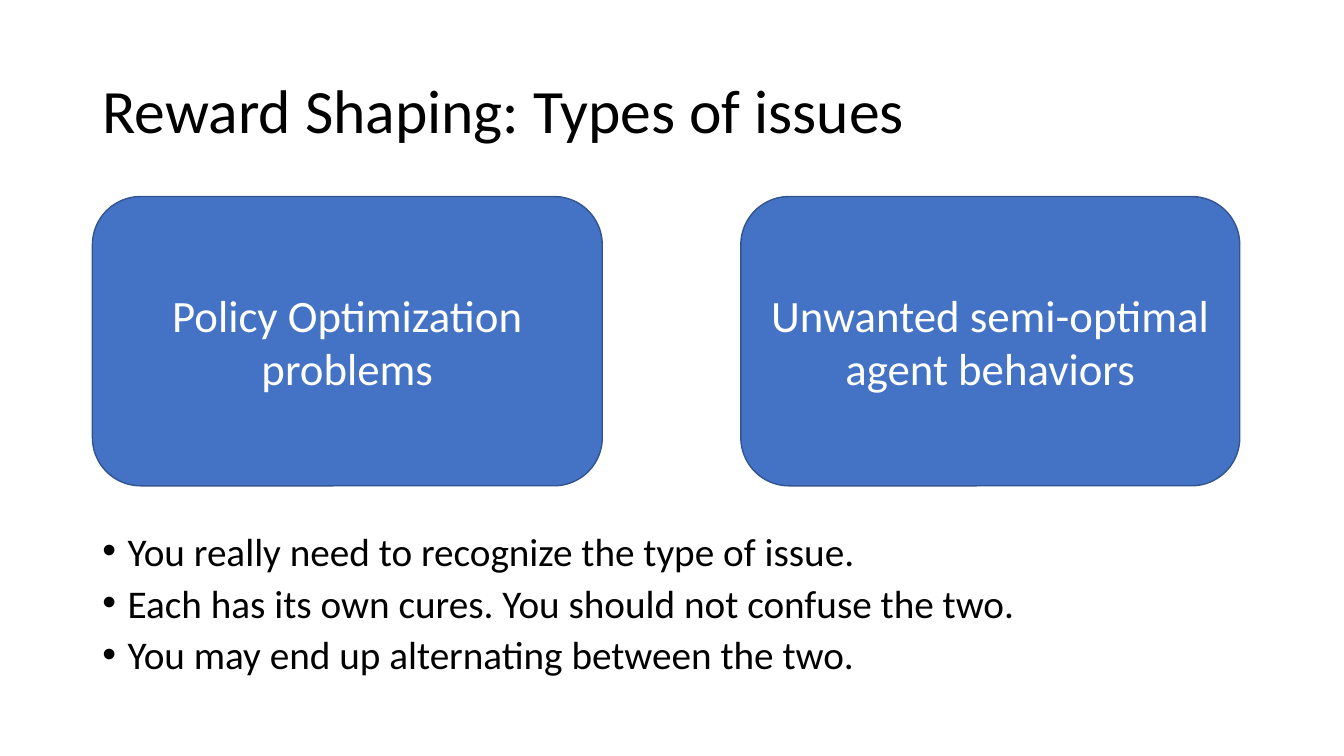
from lxml.etree import SubElement
from pptx import Presentation
from pptx.dml.color import RGBColor
from pptx.enum.shapes import MSO_SHAPE
from pptx.enum.text import MSO_ANCHOR, MSO_AUTO_SIZE, PP_ALIGN
from pptx.oxml.ns import qn
from pptx.util import Inches, Pt

COLORS = {"text": "000000", "card": "4472C4", "edge": "325491", "card_text": "FFFFFF"}
FONT = "Calibri"
COLUMNS, ROWS = 160, 150
LEFT, WIDTH = 11, 138
CARD_TOP, CARD_HEIGHT = 39, 57.4
CARDS = [
    ("Policy Optimization problems", LEFT, 60.7),
    ("Unwanted semi-optimal agent behaviors", 88.2, 59.4),
]
ADVICE = [
    "You really need to recognize the type of issue.",
    "Each has its own cures. You should not confuse the two.",
    "You may end up alternating between the two.",
]


class SlideBuilder:
    def __init__(self, deck):
        self.column = deck.slide_width / COLUMNS
        self.row = deck.slide_height / ROWS
        self.page = deck.slides.add_slide(deck.slide_layouts[1])

    def area(self, left, top, width, height):
        return (int(left * self.column), int(top * self.row),
                int(width * self.column), int(height * self.row))

    def place(self, box, *cells):
        box.left, box.top, box.width, box.height = self.area(*cells)

    def frame(self, box, anchor):
        frame = box.text_frame
        frame.word_wrap = True
        frame.auto_size = MSO_AUTO_SIZE.NONE
        frame.vertical_anchor = anchor
        return frame

    def add_text(self, para, text, size, color, align=PP_ALIGN.LEFT, spacing=1.0):
        para.alignment = align
        para.line_spacing = spacing
        para.space_before = Pt(0)
        span = para.add_run()
        span.text = text
        span.font.name = FONT
        span.font.size = Pt(size)
        span.font.color.rgb = RGBColor.from_string(COLORS[color])

    def title(self, text, *cells):
        box = self.page.shapes.title
        self.place(box, *cells)
        frame = self.frame(box, MSO_ANCHOR.MIDDLE)
        self.add_text(frame.paragraphs[0], text, 44, "text", spacing=0.9)

    def bullets(self, items, *cells):
        box = self.page.placeholders[1]
        self.place(box, *cells)
        frame = self.frame(box, MSO_ANCHOR.TOP)
        for index, item in enumerate(items):
            para = frame.add_paragraph() if index else frame.paragraphs[0]
            properties = para._p.get_or_add_pPr()
            properties.set("marL", str(Inches(0.25)))
            properties.set("indent", str(-Inches(0.25)))
            SubElement(properties, qn("a:buFont"), typeface="Arial")
            SubElement(properties, qn("a:buChar"), char="•")
            self.add_text(para, item, 28, "text", spacing=0.8)
            if index:
                para.space_before = Pt(10)

    def card(self, text, *cells):
        box = self.page.shapes.add_shape(MSO_SHAPE.ROUNDED_RECTANGLE, *self.area(*cells))
        box.shadow.inherit = False
        box.fill.solid()
        box.fill.fore_color.rgb = RGBColor.from_string(COLORS["card"])
        box.line.color.rgb = RGBColor.from_string(COLORS["edge"])
        box.line.width = Pt(1)
        frame = self.frame(box, MSO_ANCHOR.MIDDLE)
        self.add_text(frame.paragraphs[0], text, 32, "card_text", PP_ALIGN.CENTER)


def main():
    deck = Presentation()
    deck.slide_width, deck.slide_height = Inches(13.33), Inches(7.5)
    builder = SlideBuilder(deck)
    builder.title("Reward Shaping: Types of issues", LEFT, 8, WIDTH, 29)
    builder.bullets(ADVICE, LEFT, 105.4, WIDTH, 31.4)
    for text, left, width in CARDS:
        builder.card(text, left, CARD_TOP, width, CARD_HEIGHT)
    deck.save("out.pptx")


if __name__ == "__main__":
    main()
